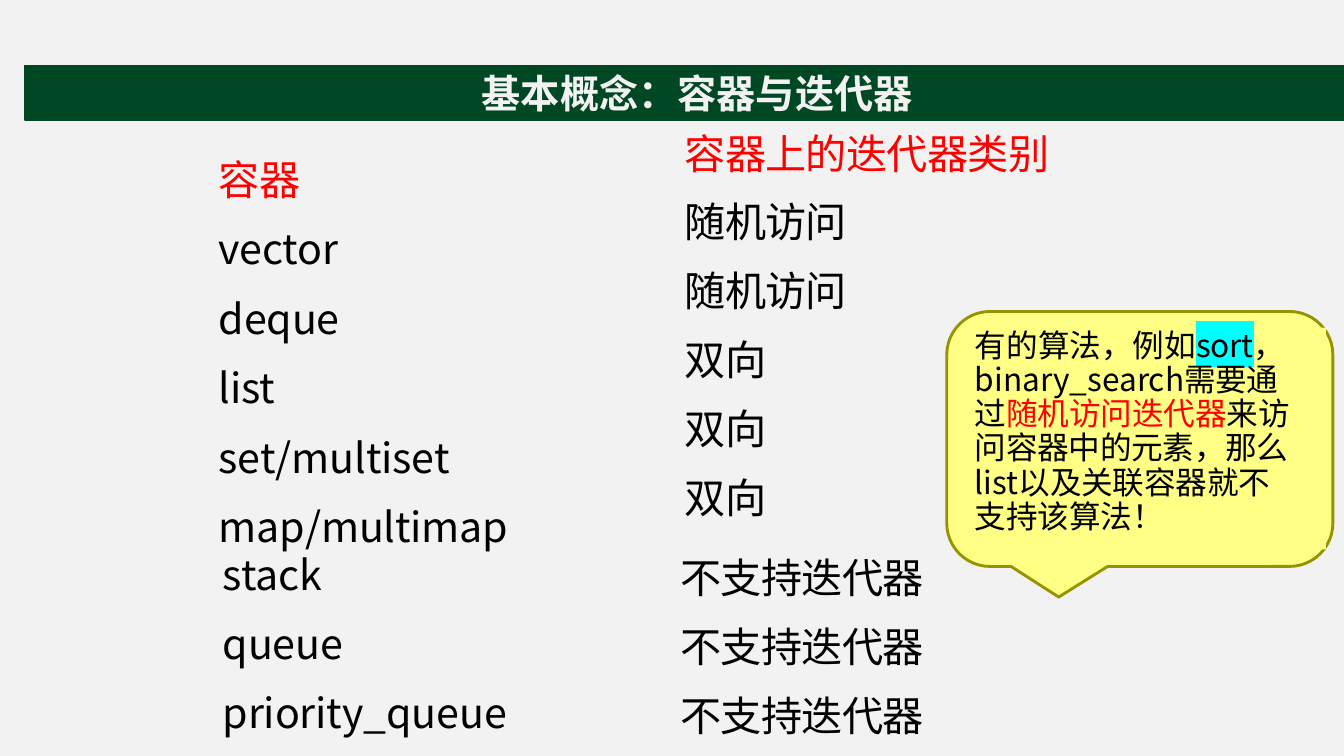
from pptx import Presentation
from pptx.dml.color import RGBColor
from pptx.enum import shapes, text
from pptx.oxml import ns
from pptx.util import Inches, Pt
from lxml import etree

FONT = "Noto Sans CJK SC"
BLACK, RED, PALE, GREEN = "000000", "FF0000", "F2F2F2", "004723"
YELLOW, OLIVE, CYAN = "FFFF85", "949400", "00FFFF"


def color(hex_value):
    return RGBColor.from_string(hex_value)


def add_run(paragraph, words, size, hex_value, spacing=0.0, bold=False, highlight=None):
    run = paragraph.add_run()
    run.text = words
    run.font.size, run.font.bold = Pt(size), bold
    run.font.color.rgb = color(hex_value)
    run.font.name = FONT
    props = run.font._element
    props.set("spc", str(round(spacing * 100)))
    latin = props.find(ns.qn("a:latin"))
    east_asian = etree.Element(ns.qn("a:ea"), typeface=FONT)
    latin.addnext(east_asian)
    if highlight:
        marker = etree.Element(ns.qn("a:highlight"))
        etree.SubElement(marker, ns.qn("a:srgbClr"), val=highlight)
        latin.addprevious(marker)


def add_frame(slide, box, inset_top):
    frame = slide.shapes.add_textbox(*map(Inches, box)).text_frame
    frame.word_wrap = True
    frame.margin_left = Inches(0.02)
    frame.margin_right = frame.margin_bottom = 0
    frame.margin_top = Inches(inset_top)
    return frame


def add_panel(slide, kind, box, fill, line=None, line_width=1):
    panel = slide.shapes.add_shape(kind, *map(Inches, box))
    panel.shadow.inherit = False
    panel.fill.solid()
    panel.fill.fore_color.rgb = color(fill)
    if line:
        panel.line.color.rgb = color(line)
        panel.line.width = Pt(line_width)
    else:
        panel.line.fill.background()
    return panel


def add_title(slide, box, words):
    frame = add_panel(slide, shapes.MSO_SHAPE.RECTANGLE, box, GREEN, GREEN).text_frame
    frame.vertical_anchor = text.MSO_ANCHOR.MIDDLE
    heading = frame.paragraphs[0]
    heading.alignment = text.PP_ALIGN.CENTER
    add_run(heading, words, 28, PALE, bold=True)


def add_column(slide, box, rows, inset_top, gap, spacing, has_header=False):
    frame = add_frame(slide, box, inset_top)
    for index, words in enumerate(rows):
        row = frame.add_paragraph() if index else frame.paragraphs[0]
        row.line_spacing = Pt(35.2)
        if index:
            row.space_before = Pt(gap)
        is_header = has_header and index == 0
        add_run(row, words, 29.4, RED if is_header else BLACK, spacing)


def add_callout(slide, box, pieces):
    left, top, width, height = box
    bubble = add_panel(slide, shapes.MSO_SHAPE.ROUNDED_RECTANGULAR_CALLOUT,
                       box, YELLOW, OLIVE, 2.04)
    for index, value in enumerate((-0.21, 0.62, 0.17)):
        bubble.adjustments[index] = value
    # Inner panel behind the words
    add_panel(slide, shapes.MSO_SHAPE.RECTANGLE,
              (left + 0.17, top + 0.16, 3.59, 2.2), YELLOW)
    remark = add_frame(slide, (left + 0.26, top + 0.1, 3.25, 2.12), 0.08).paragraphs[0]
    remark.line_spacing = Pt(24.4)
    for words, hex_value, spacing, highlight in pieces:
        add_run(remark, words, 22.6, hex_value, spacing, highlight=highlight)


def main():
    deck = Presentation()
    deck.slide_width, deck.slide_height = Inches(13.33), Inches(7.5)
    slide = deck.slides.add_slide(deck.slide_layouts[6])
    slide.background.fill.solid()
    slide.background.fill.fore_color.rgb = color(PALE)

    # Containers and the iterators they offer
    add_column(slide, (2.15, 1.27, 2.94, 4.1),
               ["容器", "vector", "deque", "list", "set/multiset", "map/multimap"],
               0.26, 14.4, -0.1, has_header=True)
    add_column(slide, (6.77, 1.01, 3.7, 4.16),
               ["容器上的迭代器类别"] + ["随机访问"] * 2 + ["双向"] * 3,
               0.26, 14, -0.5, has_header=True)

    # Adapters without iterators
    add_column(slide, (2.19, 5.37, 2.86, 1.91),
               ["stack", "queue", "priority_queue"], 0.08, 14.1, -0.1)
    add_column(slide, (6.73, 5.4, 2.48, 1.91), ["不支持迭代器"] * 3, 0.08, 14.1, -0.5)

    # Title bar
    add_title(slide, (0.25, 0.65, 13.33, 0.54), "基本概念：容器与迭代器")

    # Remark on algorithms
    add_callout(slide, (9.39, 3.09, 3.83, 2.53), [
        ("有的算法，例如", BLACK, 0, None),
        ("sort", BLACK, -0.1, CYAN),
        ("， binary_search", BLACK, 0, None),
        ("需要通过", BLACK, -0.2, None),
        ("随机访问迭代器", RED, -0.1, None),
        ("来访问容器中的元素，那么 ", BLACK, -0.2, None),
        ("list", BLACK, 0, None),
        ("以及关联容器就不支持该算法！", BLACK, -0.1, None),
    ])
    deck.save("out.pptx")


if __name__ == "__main__":
    main()
